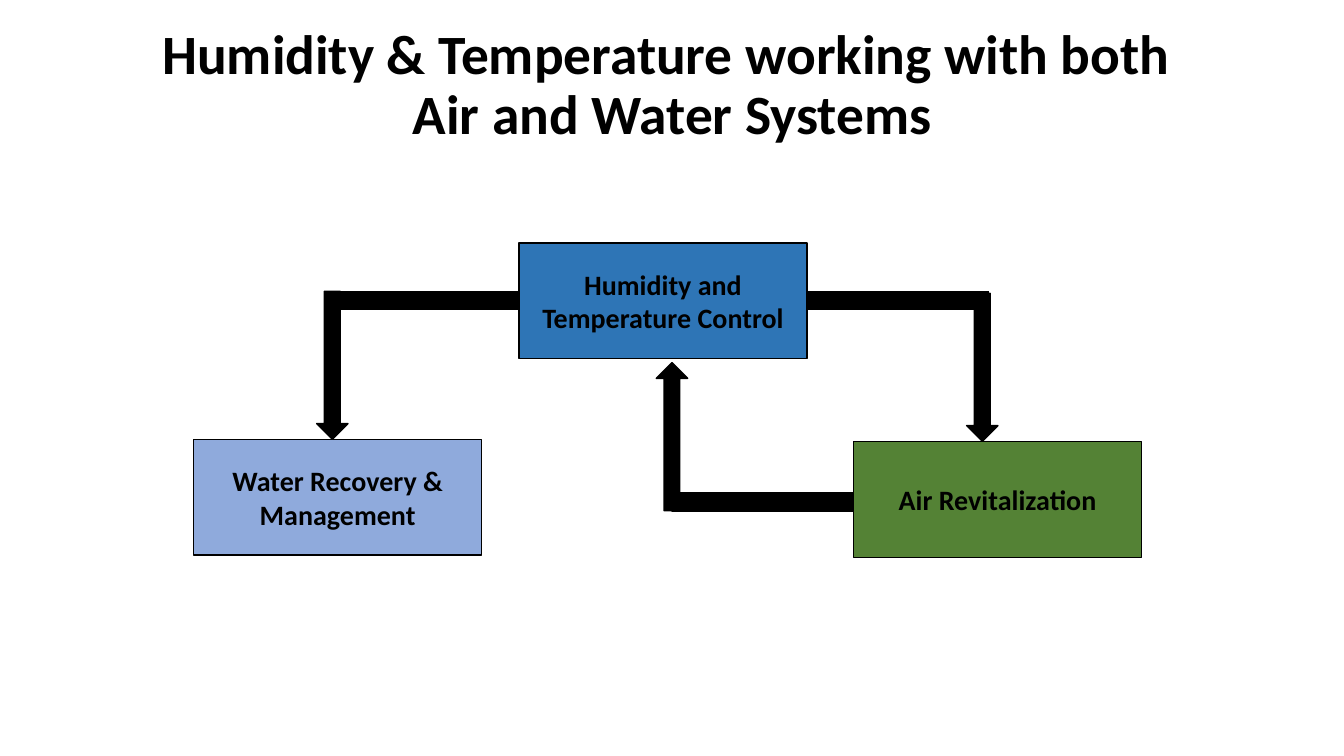
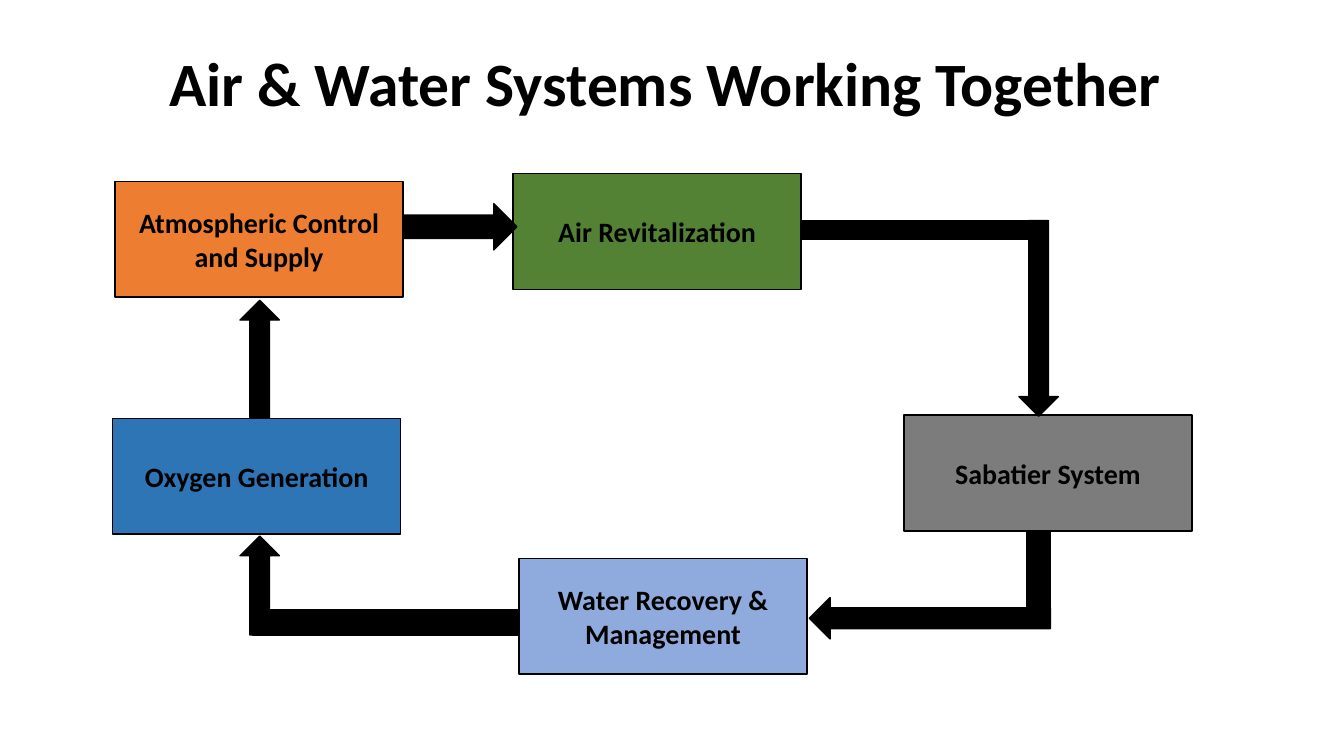
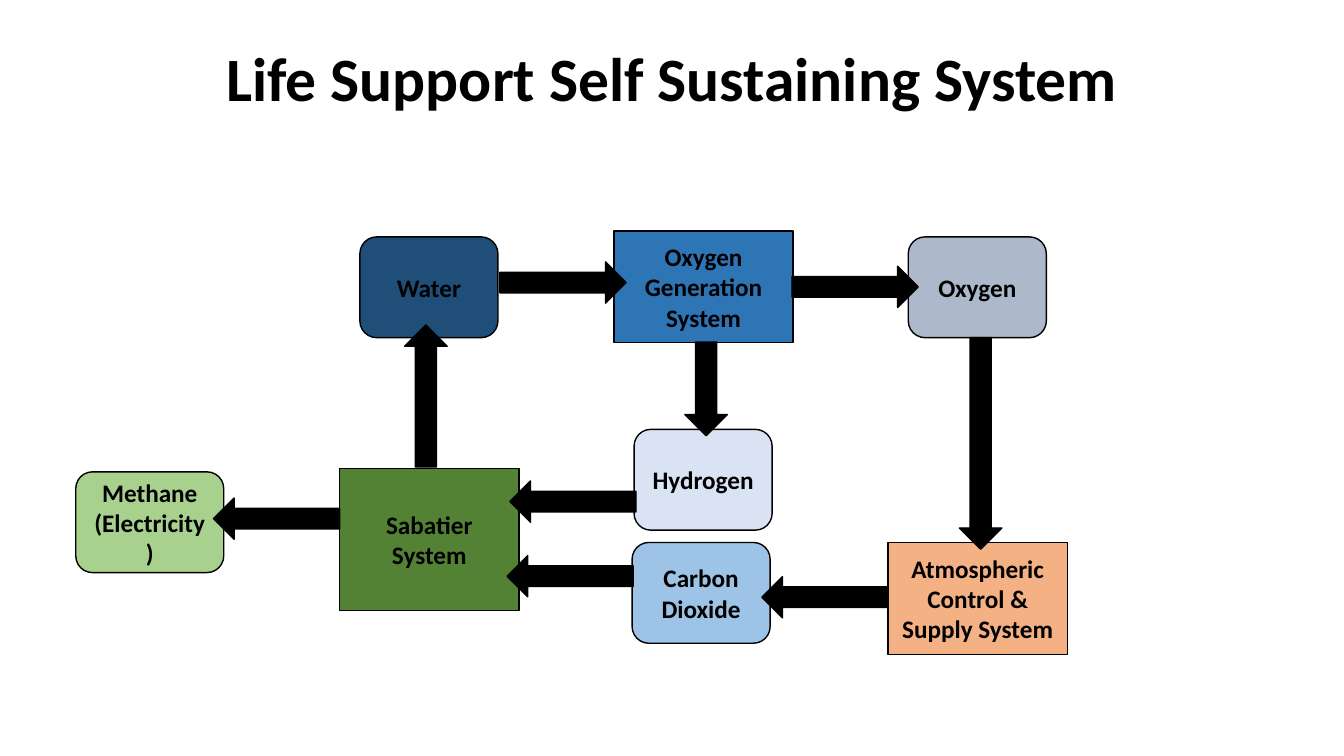
from dataclasses import dataclass

from pptx import Presentation
from pptx.dml.color import RGBColor
from pptx.enum.shapes import MSO_SHAPE
from pptx.enum.text import MSO_ANCHOR, MSO_AUTO_SIZE, PP_ALIGN
from pptx.util import Cm, Pt

RECTANGLE = MSO_SHAPE.RECTANGLE
ROUNDED = MSO_SHAPE.ROUNDED_RECTANGLE
UP = MSO_SHAPE.UP_ARROW
DOWN = MSO_SHAPE.DOWN_ARROW
LEFT = MSO_SHAPE.LEFT_ARROW
RIGHT = MSO_SHAPE.RIGHT_ARROW
CENTER = PP_ALIGN.CENTER
MIDDLE = MSO_ANCHOR.MIDDLE
NO_FIT = MSO_AUTO_SIZE.NONE
TITLE_ONLY = 5


@dataclass(frozen=True)
class Theme:
    font: str = "Calibri"
    ink: str = "000000"
    blue: str = "2E75B6"
    navy: str = "1F4E79"
    periwinkle: str = "8FAADC"
    sky: str = "9DC3E6"
    pale_blue: str = "DAE3F3"
    slate: str = "ADB9CA"
    gray: str = "7C7C7C"
    green: str = "548235"
    light_green: str = "A9D18E"
    orange: str = "ED7D31"
    peach: str = "F4B183"
    title_size: float = 44
    long_title_size: float = 39.6
    system_size: float = 20
    compact_size: float = 18
    outline: float = 1


THEME = Theme()


@dataclass(frozen=True)
class Node:
    text: str
    color: str
    left: float
    top: float
    width: float = 7.26
    height: float = 2.92
    size: float = THEME.system_size
    shape: MSO_SHAPE = RECTANGLE


@dataclass(frozen=True)
class Flow:
    shape: MSO_SHAPE
    left: float
    top: float
    width: float
    height: float


@dataclass(frozen=True)
class Diagram:
    title: str
    nodes: list[Node]
    flows: list[Flow]
    title_size: float = THEME.title_size
    title_height: float = 2.34


def compact_system(text: str, color: str, left: float, top: float, height: float = 2.82) -> Node:
    return Node(text, color, left, top, 4.52, height, THEME.compact_size)


def substance(text: str, color: str, left: float, top: float, width: float = 3.48) -> Node:
    return Node(text, color, left, top, width, 2.54, THEME.compact_size, ROUNDED)


def bar(left: float, top: float, width: float = 4.57, height: float = 0.46) -> Flow:
    return Flow(RECTANGLE, left, top, width, height)


def vertical(shape: MSO_SHAPE, left: float, top: float, height: float, width: float) -> Flow:
    return Flow(shape, left, top, width, height)


def horizontal(
    shape: MSO_SHAPE, left: float, top: float, width: float = 3.18, height: float = 1.04
) -> Flow:
    return Flow(shape, left, top, width, height)


DIAGRAMS = [
    Diagram(
        "Humidity & Temperature working with both \vAir and Water Systems",
        [
            Node("Humidity and Temperature Control", THEME.blue, 13.08, 6.12),
            Node("Air Revitalization", THEME.green, 21.51, 11.13),
            Node("Water Recovery & Management", THEME.periwinkle, 4.88, 11.07),
        ],
        [
            bar(20.35, 7.34),
            bar(8.51, 7.34),
            bar(16.94, 12.42),
            vertical(DOWN, 24.36, 7.39, 3.73, 0.79),
            vertical(DOWN, 7.98, 7.34, 3.73, 0.79),
            vertical(UP, 16.54, 9.14, 3.73, 0.79),
        ],
        title_size=THEME.long_title_size,
    ),
    Diagram(
        "Air & Water Systems Working Together ",
        [
            Node("Atmospheric Control and Supply", THEME.orange, 2.9, 4.57),
            Node("Air Revitalization", THEME.green, 12.93, 4.37),
            Node("Sabatier System", THEME.gray, 22.78, 10.46),
            Node("Water Recovery & Management", THEME.periwinkle, 13.08, 14.07),
            Node("Oxygen Generation", THEME.blue, 2.84, 10.54),
        ],
        [
            horizontal(RIGHT, 10.16, 5.13, 2.87, 1.17),
            bar(20.19, 5.56, 6.12, 0.48),
            vertical(DOWN, 25.68, 5.56, 4.93, 0.99),
            bar(25.87, 13.4, 0.61, 2.41),
            horizontal(LEFT, 20.4, 15.06, 6.07),
            bar(6.38, 15.37, 6.71, 0.64),
            vertical(UP, 6.05, 13.51, 2.49, 0.99),
            vertical(UP, 6.05, 7.57, 2.95, 0.99),
        ],
    ),
    Diagram(
        "Life Support Self Sustaining System",
        [
            substance("Water", THEME.navy, 9.07, 5.97),
            compact_system("Oxygen Generation System", THEME.blue, 15.47, 5.82),
            substance("Oxygen", THEME.slate, 22.89, 5.97),
            compact_system("Atmospheric Control & Supply System", THEME.peach, 22.38, 13.67),
            substance("Carbon Dioxide", THEME.sky, 15.93, 13.67),
            substance("Hydrogen", THEME.pale_blue, 15.98, 10.82),
            compact_system("Sabatier System", THEME.green, 8.56, 11.81, 3.58),
            substance("Methane (Electricity)", THEME.light_green, 1.91, 11.89, 3.73),
        ],
        [
            horizontal(RIGHT, 12.6, 6.6),
            horizontal(RIGHT, 19.96, 6.71),
            vertical(DOWN, 24.18, 8.51, 5.33, 1.07),
            vertical(DOWN, 17.26, 8.62, 2.36, 1.07),
            horizontal(LEFT, 19.2, 14.53),
            horizontal(LEFT, 12.78, 14),
            horizontal(LEFT, 12.85, 12.12),
            horizontal(LEFT, 5.38, 12.55),
            vertical(UP, 10.2, 8.19, 3.58, 1.07),
        ],
        title_height=2.06,
    ),
]


def write_text(shape, text: str, size: float) -> None:
    frame = shape.text_frame
    frame.text = text
    frame.word_wrap = True
    frame.auto_size = NO_FIT
    frame.vertical_anchor = MIDDLE
    for para in frame.paragraphs:
        para.alignment = CENTER
        for span in para.runs:
            span.font.name = THEME.font
            span.font.size = Pt(size)
            span.font.bold = True
            span.font.color.rgb = RGBColor.from_string(THEME.ink)


def draw_shape(page, item: Node | Flow, color: str):
    shape = page.shapes.add_shape(
        item.shape, Cm(item.left), Cm(item.top), Cm(item.width), Cm(item.height)
    )
    shape.shadow.inherit = False
    shape.fill.solid()
    shape.fill.fore_color.rgb = RGBColor.from_string(color)
    shape.line.color.rgb = RGBColor.from_string(THEME.ink)
    shape.line.width = Pt(THEME.outline)
    return shape


def draw_title(page, diagram: Diagram) -> None:
    title = page.shapes.title
    title.left, title.top = Cm(2.34), Cm(1.02)
    title.width, title.height = Cm(29.21), Cm(diagram.title_height)
    write_text(title, diagram.title, diagram.title_size)
    for para in title.text_frame.paragraphs:
        para.line_spacing = 0.9


def draw_diagram(deck, diagram: Diagram) -> None:
    page = deck.slides.add_slide(deck.slide_layouts[TITLE_ONLY])
    draw_title(page, diagram)
    for node in diagram.nodes:
        box = draw_shape(page, node, node.color)
        write_text(box, node.text, node.size)
    for flow in diagram.flows:
        draw_shape(page, flow, THEME.ink)


def main() -> None:
    deck = Presentation()
    deck.slide_width, deck.slide_height = Cm(33.87), Cm(19.05)
    for diagram in DIAGRAMS:
        draw_diagram(deck, diagram)
    deck.save("out.pptx")


if __name__ == "__main__":
    main()
